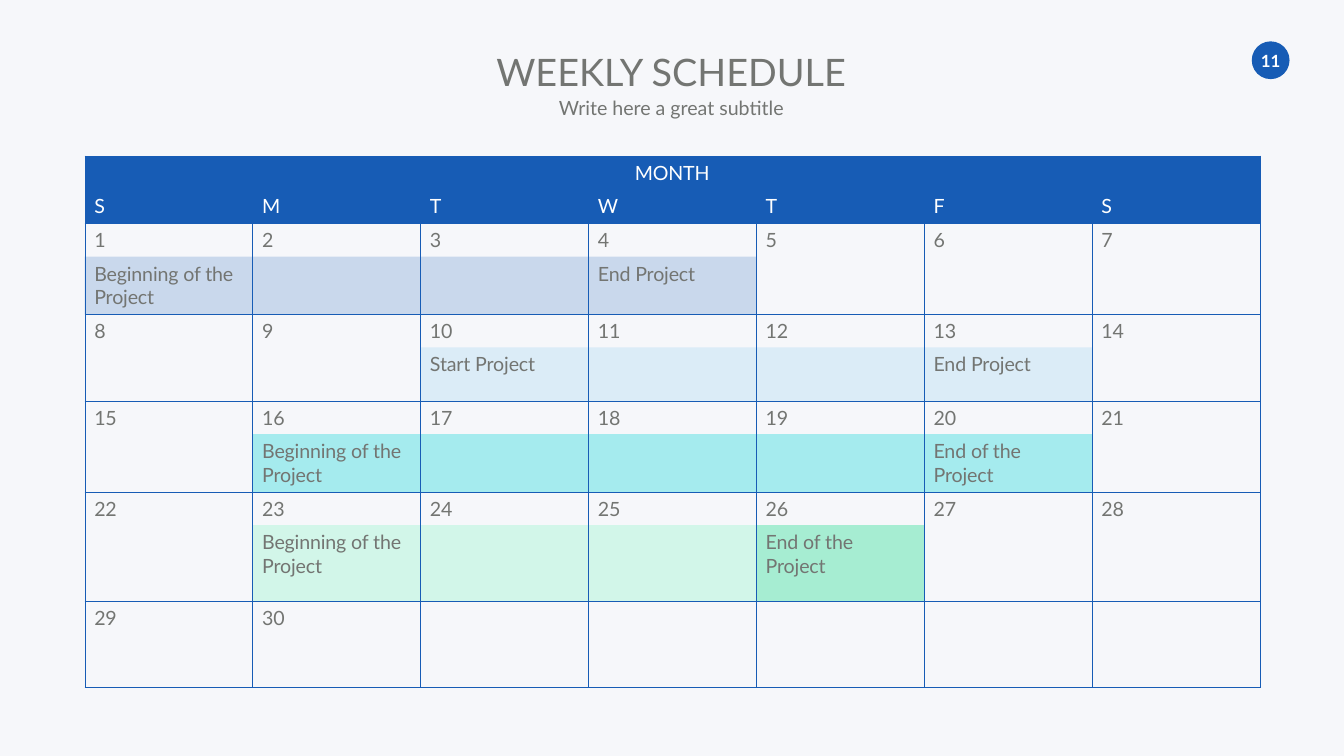
"""Build a weekly schedule slide with a month calendar table."""
import pptx
import pptx.dml.color
import pptx.enum.shapes
import pptx.enum.text
import pptx.oxml
import pptx.oxml.ns
import pptx.util

PX = 9144
BLUE = pptx.dml.color.RGBColor(0x17, 0x5C, 0xB5)
SKY = pptx.dml.color.RGBColor(0x9E, 0xD3, 0xF2)
AQUA = pptx.dml.color.RGBColor(0xA5, 0xEB, 0xEE)
MINT = pptx.dml.color.RGBColor(0xD2, 0xF6, 0xE9)
GREEN = pptx.dml.color.RGBColor(0xA6, 0xED, 0xD2)
GRAY = pptx.dml.color.RGBColor(0x73, 0x75, 0x72)
WHITE = pptx.dml.color.RGBColor(0xFF, 0xFF, 0xFF)
PAPER = pptx.dml.color.RGBColor(0xF6, 0xF7, 0xFA)

CENTER = pptx.enum.text.PP_ALIGN.CENTER
LEFT = pptx.enum.text.PP_ALIGN.LEFT
TITLE_FONT = {"name": "Lato", "size": pptx.util.Pt(54)}
BODY_FONT = {"name": "Lato", "size": pptx.util.Pt(28)}
BADGE_FONT = {"name": "Lato", "size": pptx.util.Pt(24), "bold": True}
HEADING_FRAME = {
    "margin_left": 27 * PX, "margin_right": 27 * PX,
    "margin_top": 13 * PX, "margin_bottom": 13 * PX,
    "vertical_anchor": pptx.enum.text.MSO_ANCHOR.MIDDLE, "word_wrap": True,
    "auto_size": pptx.enum.text.MSO_AUTO_SIZE.SHAPE_TO_FIT_TEXT,
}
BADGE_FRAME = {
    "margin_left": 20 * PX, "margin_right": 20 * PX,
    "margin_top": 10 * PX, "margin_bottom": 10 * PX, "word_wrap": False,
    "auto_size": pptx.enum.text.MSO_AUTO_SIZE.SHAPE_TO_FIT_TEXT,
}
CELL_FORMAT = {
    "margin_left": 19 * PX, "margin_right": 19 * PX,
    "margin_top": 10 * PX, "margin_bottom": 10 * PX,
}

DAYS = "SMTWTFS"
MONTH_LENGTH = 30
COLUMN_WIDTH = 333
DATE_HEIGHT = 66
EVENT_HEIGHTS = [113, 106, 113, 150, 105]
# Each event: week, first and last column, labels, first and last colour, opacity.
EVENTS = [
    (0, 0, 3, "Beginning of the Project", "End Project", BLUE, BLUE, 20),
    (1, 2, 5, "Start Project", "End Project", SKY, SKY, 30),
    (2, 1, 5, "Beginning of the Project", "End of the Project", AQUA, AQUA, 100),
    (3, 1, 4, "Beginning of the Project", "End of the Project", MINT, GREEN, 100),
]


def set_attributes(target, values):
    """Set each named format value on the target."""
    for name, value in values.items():
        setattr(target, name, value)


def place(shape, left, top, width, height):
    """Move and size a shape, in px."""
    bounds = {"left": left, "top": top, "width": width, "height": height}
    set_attributes(shape, {name: value * PX for name, value in bounds.items()})


def write_text(text_frame, text, font, color, alignment=CENTER):
    """Write one formatted run into the first paragraph."""
    paragraph = text_frame.paragraphs[0]
    paragraph.alignment = alignment
    run = paragraph.add_run()
    run.text = text
    set_attributes(run.font, font)
    run.font.color.rgb = color
    return run


def add_text_box(slide, bounds, text, frame_format, font, color):
    """Add a centred text box."""
    shape = slide.shapes.add_textbox(0, 0, 0, 0)
    set_attributes(shape.text_frame, frame_format)
    write_text(shape.text_frame, text, font, color)
    place(shape, *bounds)


def add_headings(slide):
    """Format the title placeholder and add the subtitle."""
    title = slide.shapes.title
    set_attributes(title.text_frame, HEADING_FRAME)
    write_text(title.text_frame, "WEEKLY SCHEDULE", TITLE_FONT, GRAY)
    place(title, 815, 83, 1033, 118)
    add_text_box(slide, (815, 176, 1033, 74), "Write here a great subtitle",
                 HEADING_FRAME, BODY_FONT, GRAY)


def add_badge(slide):
    """Add the page number on its round badge."""
    circle = slide.shapes.add_shape(pptx.enum.shapes.MSO_SHAPE.OVAL, 0, 0, 0, 0)
    place(circle, 2483, 82, 75, 75)
    circle.shadow.inherit = False
    circle.fill.solid()
    circle.fill.fore_color.rgb = BLUE
    circle.line.fill.background()
    add_text_box(slide, (2480, 90, 81, 61), "11", BADGE_FRAME, BADGE_FONT, WHITE)


def set_borders(cell, sides):
    """Draw the named sides of a cell and hide the others."""
    properties = cell._tc.get_or_add_tcPr()
    for side in "LRTB":
        paint = (f'<a:solidFill><a:srgbClr val="{BLUE}"/></a:solidFill>'
                 if side in sides else "<a:noFill/>")
        properties.append(pptx.oxml.parse_xml(
            f'<a:ln{side} {pptx.oxml.ns.nsdecls("a")} w="3175">{paint}</a:ln{side}>'))


def fill_cell(cell, color, opacity=100):
    """Fill a cell with a colour at an opacity in percent."""
    cell.fill.solid()
    cell.fill.fore_color.rgb = color
    if opacity < 100:
        solid = cell._tc.tcPr.find(pptx.oxml.ns.qn("a:solidFill"))
        solid[0].append(pptx.oxml.parse_xml(
            f'<a:alpha {pptx.oxml.ns.nsdecls("a")} val="{opacity * 1000}"/>'))


def write_cell(cell, text, color=GRAY, alignment=LEFT):
    """Write the text of a table cell."""
    run = write_text(cell.text_frame, text, BODY_FONT, color, alignment)
    run._r.get_or_add_rPr().set("spc", "-20")


def add_calendar(slide):
    """Add the empty calendar grid with its borders."""
    heights = [DATE_HEIGHT] * 2
    for height in EVENT_HEIGHTS:
        heights += [DATE_HEIGHT, height]
    frame = slide.shapes.add_table(
        len(heights), len(DAYS), 168 * PX, 309 * PX,
        len(DAYS) * COLUMN_WIDTH * PX, sum(heights) * PX)
    table = frame.table
    set_attributes(table, {"first_row": False, "horz_banding": False})
    for column in table.columns:
        column.width = COLUMN_WIDTH * PX
    for index, height in enumerate(heights):
        table.rows[index].height = height * PX
        for cell in table.rows[index].cells:
            set_attributes(cell, CELL_FORMAT)
            set_borders(cell, "LRB" if index % 2 else "LRT")
            cell.fill.background()
    return table


def fill_header(table):
    """Write the month and weekday rows."""
    table.cell(0, 0).merge(table.cell(0, len(DAYS) - 1))
    write_cell(table.cell(0, 0), "MONTH", WHITE, CENTER)
    for column, day in enumerate(DAYS):
        fill_cell(table.cell(0, column), BLUE)
        fill_cell(table.cell(1, column), BLUE)
        write_cell(table.cell(1, column), day, WHITE)


def fill_dates(table):
    """Number the days of the month."""
    for day in range(MONTH_LENGTH):
        week, column = divmod(day, len(DAYS))
        write_cell(table.cell(2 + 2 * week, column), str(day + 1))


def fill_events(table):
    """Colour and label the span of each event."""
    for week, first, last, start, end, color, end_color, opacity in EVENTS:
        cells = [table.cell(3 + 2 * week, column) for column in range(first, last + 1)]
        for cell in cells[:-1]:
            fill_cell(cell, color, opacity)
        fill_cell(cells[-1], end_color, opacity)
        write_cell(cells[0], start)
        write_cell(cells[-1], end)


def main():
    """Build and save the presentation."""
    presentation = pptx.Presentation()
    set_attributes(presentation, {"slide_width": 2666 * PX, "slide_height": 1500 * PX})
    slide = presentation.slides.add_slide(presentation.slide_layouts[5])
    slide.background.fill.solid()
    slide.background.fill.fore_color.rgb = PAPER
    add_badge(slide)
    table = add_calendar(slide)
    fill_header(table)
    fill_dates(table)
    fill_events(table)
    add_headings(slide)
    presentation.save("out.pptx")


if __name__ == "__main__":
    main()
